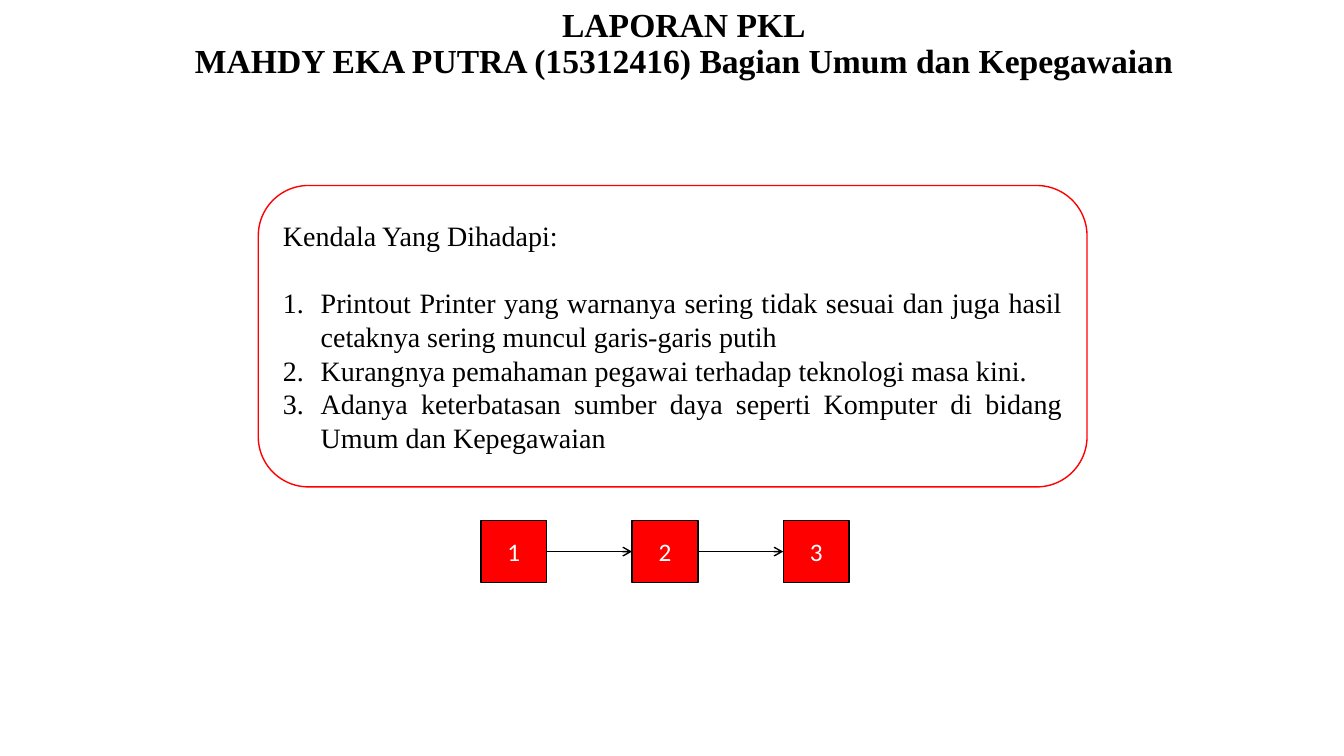
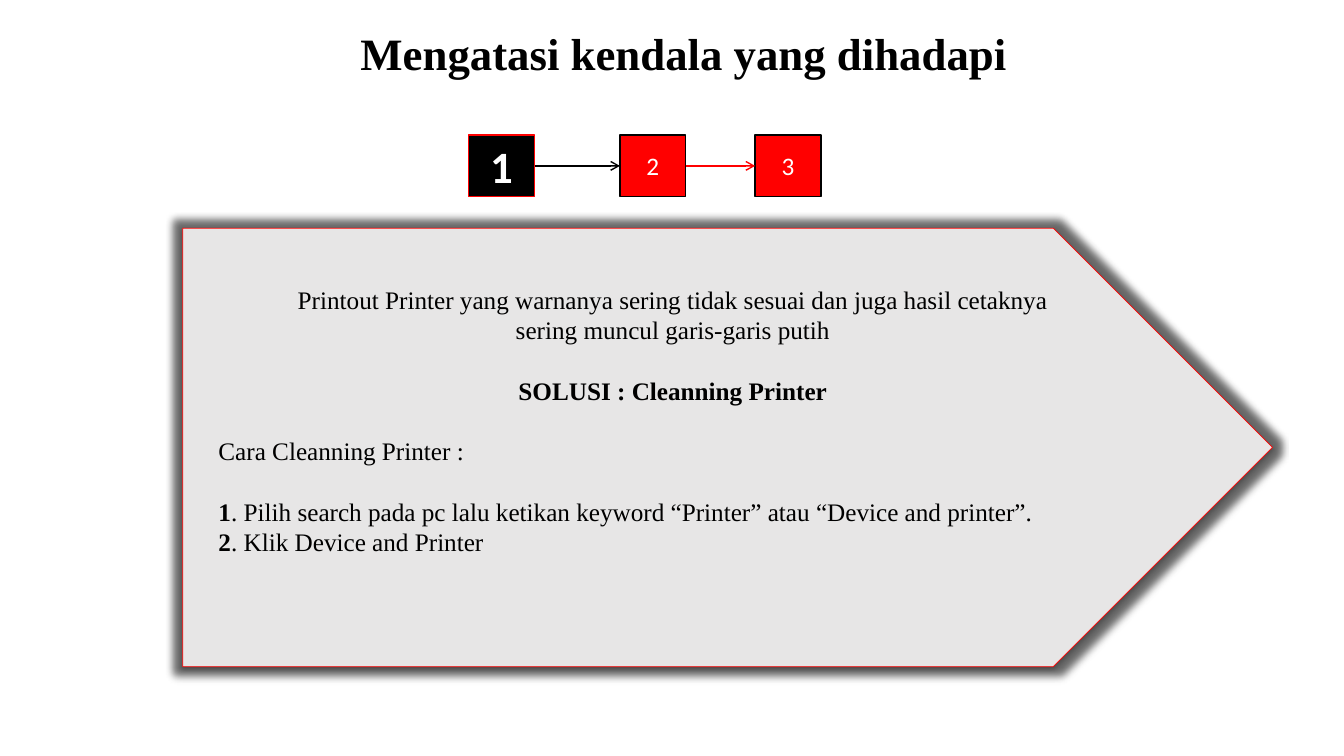
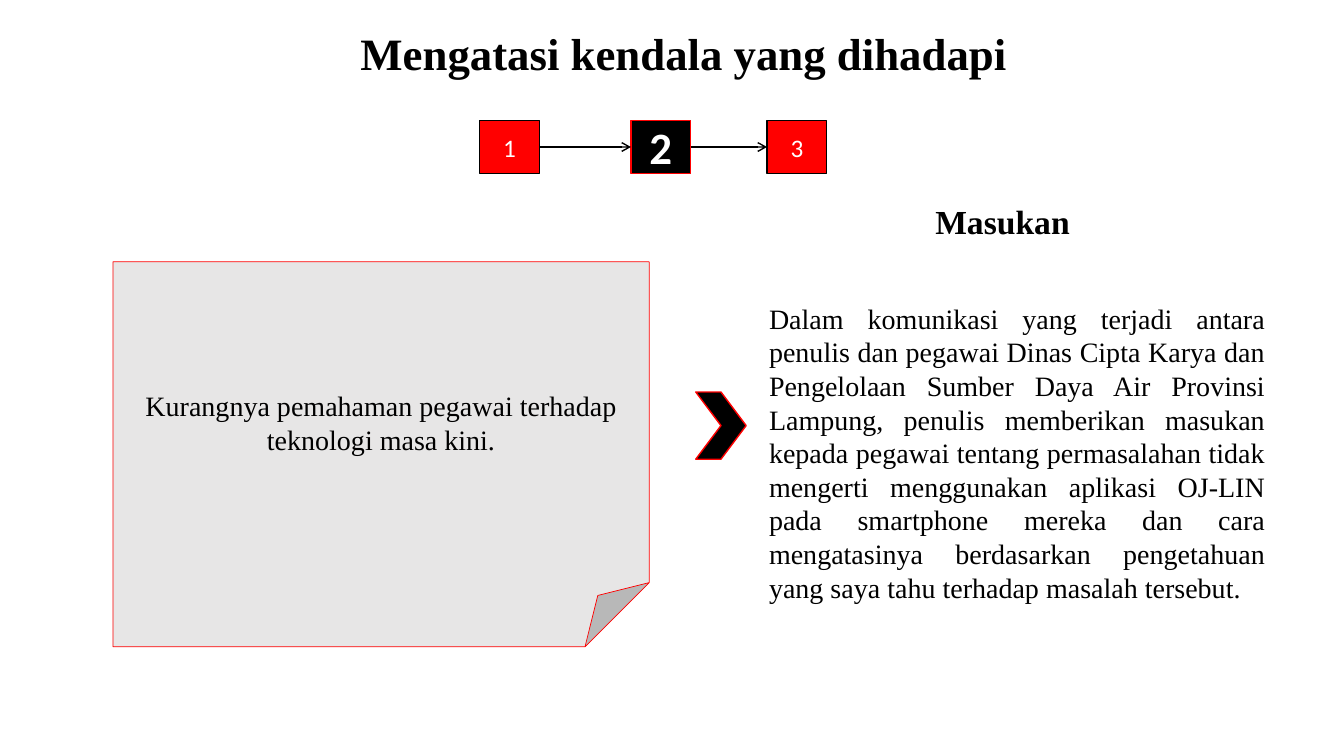
from lxml import etree
from pptx import Presentation, util as u
from pptx.dml.color import RGBColor
from pptx.enum import shapes as sh, text as tx
from pptx.oxml import parse_xml
from pptx.oxml.ns import qn, nsdecls

tint = RGBColor.from_string
RED, BLACK, WHITE, GREY = "FF0000", "000000", "FFFFFF", "E7E6E6"
SERIF, SANS = "Times New Roman", "Calibri"
KIND, ALIGN, ANCHOR = sh.MSO_SHAPE, tx.PP_ALIGN, tx.MSO_ANCHOR


def add(page, kind, box, fill, edge, weight=1):
    shape = page.shapes.add_shape(kind, *map(u.Pt, box))
    shape.fill.solid()
    shape.fill.fore_color.rgb = tint(fill)
    shape.line.color.rgb = tint(edge)
    shape.line.width = u.Pt(weight)
    shape.shadow.inherit = False
    return shape


def write(shape, lines, size, align, name=SERIF, color=BLACK, anchor=ANCHOR.MIDDLE):
    """Each line is (text, space before); text between asterisks is bold."""
    frame = shape.text_frame
    frame.word_wrap = True
    frame.auto_size = tx.MSO_AUTO_SIZE.NONE
    frame.vertical_anchor = anchor
    for n, (words, gap) in enumerate(lines):
        par = frame.add_paragraph() if n else frame.paragraphs[0]
        par.alignment = align
        par.space_before = u.Pt(gap)
        for k, part in enumerate(words.split("*")):
            if part:
                run = par.add_run()
                run.text = part
                look = {"name": name, "size": u.Pt(size), "bold": k % 2 == 1}
                for key, val in look.items():
                    setattr(run.font, key, val)
                run.font.color.rgb = tint(color)
    return frame


deck = Presentation()
deck.slide_width, deck.slide_height = u.Pt(960), u.Pt(540)

# Title lines, title size, step lefts, step top, step size, current step, arrow colours
FIX = ["Mengatasi kendala yang dihadapi"]
plans = [
    (["LAPORAN PKL", "MAHDY EKA PUTRA (15312416) Bagian Umum dan Kepegawaian"], 24,
     (343.5, 451.5, 559.5), 372, (47, 44), None, (BLACK, BLACK)),
    (FIX, 32, (334.8, 442.8, 539.4), 96.5, (47, 44), 1, (BLACK, RED)),
    (FIX, 32, (342.7, 450.7, 547.9), 86, (42.6, 38), 2, (BLACK, BLACK)),
]

# Titles and step chains
pages = []
for heads, size, lefts, top, (wide, high), now, inks in plans:
    page = deck.slides.add_slide(deck.slide_layouts[5])
    pages.append(page)
    title = page.shapes.title
    spot = {"left": 104.4, "top": 6.5, "width": 768.2, "height": 54.7}
    for key, val in spot.items():
        setattr(title, key, u.Pt(val))
    frame = write(title, [(f"*{head}*", 0) for head in heads], size,
                  ALIGN.CENTER, anchor=ANCHOR.BOTTOM)
    for par in frame.paragraphs:
        par.line_spacing = 0.9

    for n, left in enumerate(lefts, 1):
        on = n == now
        step = add(page, KIND.RECTANGLE, (left, top, wide, high),
                   BLACK if on else RED, RED if on else BLACK)
        write(step, [(f"*{n}*" if on else str(n), 0)], 32 if on else 18,
              ALIGN.CENTER, SANS, WHITE)

    mid = top + high / 2
    for start, end, ink in zip(lefts, lefts[1:], inks):
        ends = (start + wide, mid, end, mid)
        arrow = page.shapes.add_connector(sh.MSO_CONNECTOR.STRAIGHT, *map(u.Pt, ends))
        arrow.line.color.rgb = tint(ink)
        arrow.line.width = u.Pt(1)
        etree.SubElement(arrow.line._get_or_add_ln(), qn("a:tailEnd"), type="arrow")
        etree.SubElement(arrow._element.spPr, qn("a:effectLst"))

first, second, third = pages

# Slide 1: numbered obstacles
card = add(first, KIND.ROUNDED_RECTANGLE, (184.5, 132.5, 592, 215.3), WHITE, RED)
frame = write(card, [
    ("Kendala Yang Dihadapi:", 0),
    ("Printout Printer yang warnanya sering tidak sesuai dan juga hasil cetaknya "
     "sering muncul garis-garis putih", 24),
    ("Kurangnya pemahaman pegawai terhadap teknologi masa kini.", 0),
    ("Adanya keterbatasan sumber daya seperti Komputer di bidang Umum dan Kepegawaian", 0),
], 20, ALIGN.JUSTIFY)
for par in frame.paragraphs[1:]:
    props = par._p.get_or_add_pPr()
    props.set("marL", str(u.Pt(27)))
    props.set("indent", str(-u.Pt(27)))
    etree.SubElement(props, qn("a:buAutoNum"), type="arabicPeriod")

# Slide 2: solution on a glowing signpost
sign = add(second, KIND.PENTAGON, (130.5, 163, 778.5, 313.2), GREY, RED, 0.5)
glow = parse_xml(
    f'<a:glow {nsdecls("a")} rad="{u.Pt(11)}"><a:srgbClr val="{BLACK}">'
    '<a:alpha val="50000"/></a:srgbClr></a:glow>')
shade = parse_xml(
    f'<a:outerShdw {nsdecls("a")} blurRad="{u.Pt(3.1)}" dist="{u.Pt(1.6)}" '
    f'dir="5400000" rotWithShape="0"><a:srgbClr val="{BLACK}">'
    '<a:alpha val="38000"/></a:srgbClr></a:outerShdw>')
sign._element.spPr.find(qn("a:effectLst")).extend([glow, shade])
frame = write(sign, [
    ("Printout Printer yang warnanya sering tidak sesuai dan juga hasil cetaknya", 0),
    ("sering muncul garis-garis putih", 0),
    ("*SOLUSI : Cleanning Printer*", 22),
], 18, ALIGN.CENTER, anchor=ANCHOR.TOP)
frame.margin_top = u.Pt(40)

# Plain text: page, box, lines, size, alignment
notes = [
    (second, (149, 307.5, 665, 138), [
        ("Cara Cleanning Printer :", 0),
        ("*1*. Pilih search pada pc lalu ketikan keyword “Printer” atau "
         "“Device and printer”.", 22),
        ("*2*. Klik Device and Printer", 0)], 18, ALIGN.LEFT),
    (third, (661, 139.7, 124, 36), [("*Masukan*", 0)], 24, ALIGN.LEFT),
    (third, (542.2, 211.7, 368.6, 225.4), [
        ("Dalam komunikasi yang terjadi antara penulis dan pegawai Dinas Cipta Karya "
         "dan Pengelolaan Sumber Daya Air Provinsi Lampung, penulis memberikan masukan "
         "kepada pegawai tentang permasalahan tidak mengerti menggunakan aplikasi "
         "OJ-LIN pada smartphone mereka dan cara mengatasinya berdasarkan pengetahuan "
         "yang saya tahu terhadap masalah tersebut.", 0)], 20, ALIGN.JUSTIFY),
]
for page, box, lines, size, align in notes:
    note = page.shapes.add_textbox(*map(u.Pt, box))
    write(note, lines, size, align, anchor=ANCHOR.TOP)

# Slide 3: obstacle sheet and chevron
sheet = add(third, KIND.FOLDED_CORNER, (80.7, 187, 383, 275), GREY, RED, 0.5)
write(sheet, [("Kurangnya pemahaman pegawai terhadap teknologi masa kini.", 0)],
      20, ALIGN.CENTER)
add(third, KIND.CHEVRON, (497, 280, 36, 48), BLACK, RED)

deck.save("out.pptx")
